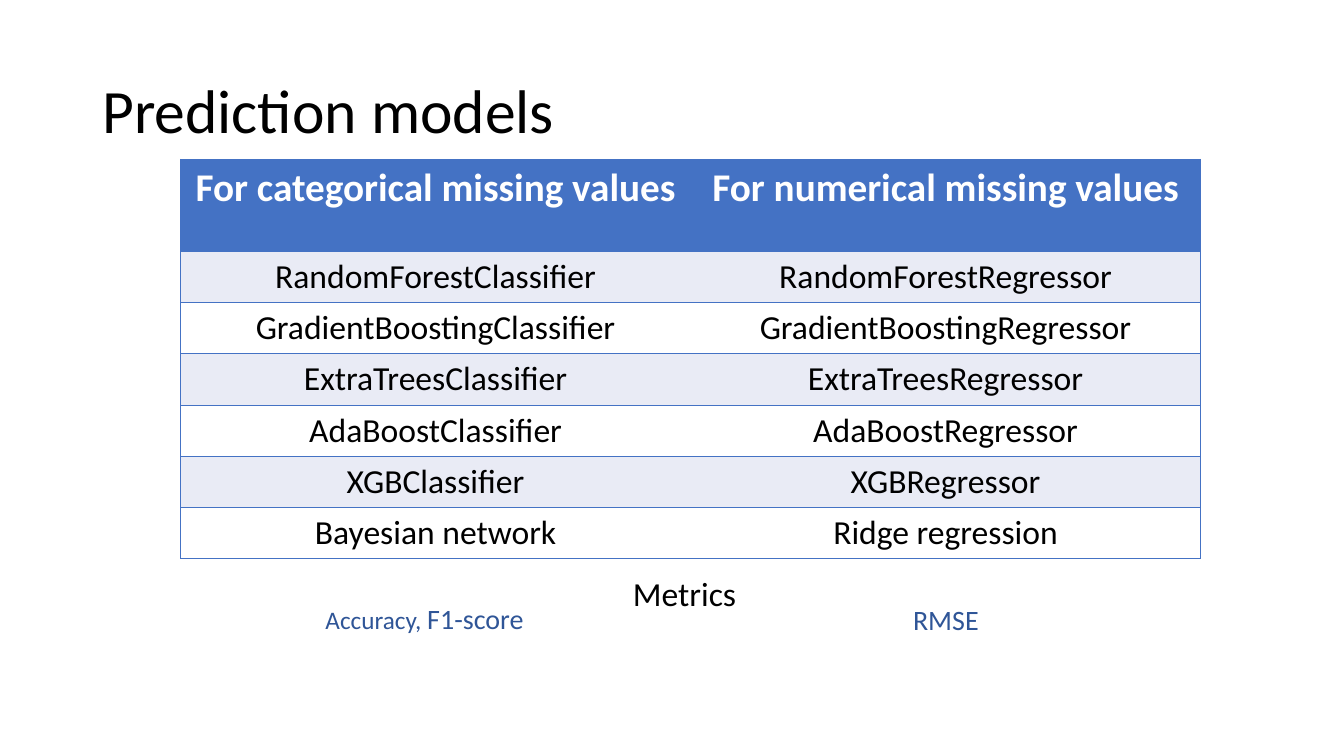
import pptx
import pptx.util
import pptx.dml.color
import pptx.enum.text
import pptx.oxml
import pptx.oxml.ns

Pt = pptx.util.Pt
ALIGN = pptx.enum.text.PP_ALIGN
ANCHOR = pptx.enum.text.MSO_ANCHOR

BLACK, WHITE, BLUE, DARK_BLUE, PALE = "000000", "FFFFFF", "4472C4", "2F5597", "E9EBF5"
HEADER_HEIGHT, ROW_HEIGHT, COLUMN_WIDTH = 65.7, 36.6, 364.3

MODELS = [
    ("For categorical missing values", "For numerical missing values"),
    ("RandomForestClassifier", "RandomForestRegressor"),
    ("GradientBoostingClassifier", "GradientBoostingRegressor"),
    ("ExtraTreesClassifier", "ExtraTreesRegressor"),
    ("AdaBoostClassifier", "AdaBoostRegressor"),
    ("XGBClassifier", "XGBRegressor"),
    ("Bayesian network", "Ridge regression"),
]

# Left, top, width, height, colour, then runs of (text, size)
METRICS = [
    (225.4, 426.2, 166.3, 31.5, DARK_BLUE, [("Accuracy, ", 18), ("F1-score", 20)]),
    (645.1, 427, 178.6, 31.5, DARK_BLUE, [("RMSE", 20)]),
    (445, 405.4, 96.5, 36, BLACK, [("Metrics", 24)]),
]


def rgb(value):
    return pptx.dml.color.RGBColor.from_string(value)


def add_run(paragraph, text, size, color, bold=False):
    run = paragraph.add_run()
    run.text = text
    for name, value in {"name": "Calibri", "size": Pt(size), "bold": bold}.items():
        setattr(run.font, name, value)
    run.font.color.rgb = rgb(color)


def add_title(slide, text):
    title = slide.shapes.title
    place = {"left": 66, "top": 28.8, "width": 828, "height": 104.4}
    for name, value in place.items():
        setattr(title, name, Pt(value))
    title.text_frame.vertical_anchor = ANCHOR.MIDDLE
    paragraph = title.text_frame.paragraphs[0]
    for name, value in {"alignment": ALIGN.LEFT, "line_spacing": 0.9}.items():
        setattr(paragraph, name, value)
    add_run(paragraph, text, 44, BLACK)


def set_borders(cell, colors):
    """Draw the sides named in colors and hide the others."""
    properties = cell._tc.get_or_add_tcPr()
    for index, side in enumerate("LRTB"):
        color = colors.get(side)
        paint = (f'<a:solidFill><a:srgbClr val="{color}"/></a:solidFill>'
                 if color else "<a:noFill/>")
        properties.insert(index, pptx.oxml.parse_xml(
            f'<a:ln{side} {pptx.oxml.ns.nsdecls("a")} w="12700">{paint}</a:ln{side}>'))


def add_models_table(slide, models):
    height = HEADER_HEIGHT + ROW_HEIGHT * (len(models) - 1)
    table = slide.shapes.add_table(
        len(models), 2, Pt(129), Pt(113.9), Pt(2 * COLUMN_WIDTH), Pt(height)).table
    for column in table.columns:
        column.width = Pt(COLUMN_WIDTH)
    for row, names in enumerate(models):
        header = row == 0
        table.rows[row].height = Pt(HEADER_HEIGHT if header else ROW_HEIGHT)
        for column, name in enumerate(names):
            cell = table.cell(row, column)
            cell.fill.solid()
            cell.fill.fore_color.rgb = rgb(BLUE if header else PALE if row % 2 else WHITE)
            # Outer frame and row lines, without a line between the columns
            outer_side = "LR"[column]
            set_borders(cell, dict.fromkeys(outer_side + "TB", BLUE))
            paragraph = cell.text_frame.paragraphs[0]
            paragraph.alignment = ALIGN.CENTER
            add_run(paragraph, name, 28 if header else 24, WHITE if header else BLACK, header)


def add_metric(slide, left, top, width, height, color, runs):
    metric = slide.shapes.add_textbox(Pt(left), Pt(top), Pt(width), Pt(height))
    metric.text_frame.word_wrap = True
    for text, size in runs:
        add_run(metric.text_frame.paragraphs[0], text, size, color)


def main():
    deck = pptx.Presentation()
    deck.slide_width, deck.slide_height = Pt(960), Pt(540)
    slide = deck.slides.add_slide(deck.slide_layouts[5])

    # Heading, model table and metrics below it
    add_title(slide, "Prediction models")
    add_models_table(slide, MODELS)
    for metric in METRICS:
        add_metric(slide, *metric)

    deck.save("out.pptx")


if __name__ == "__main__":
    main()
